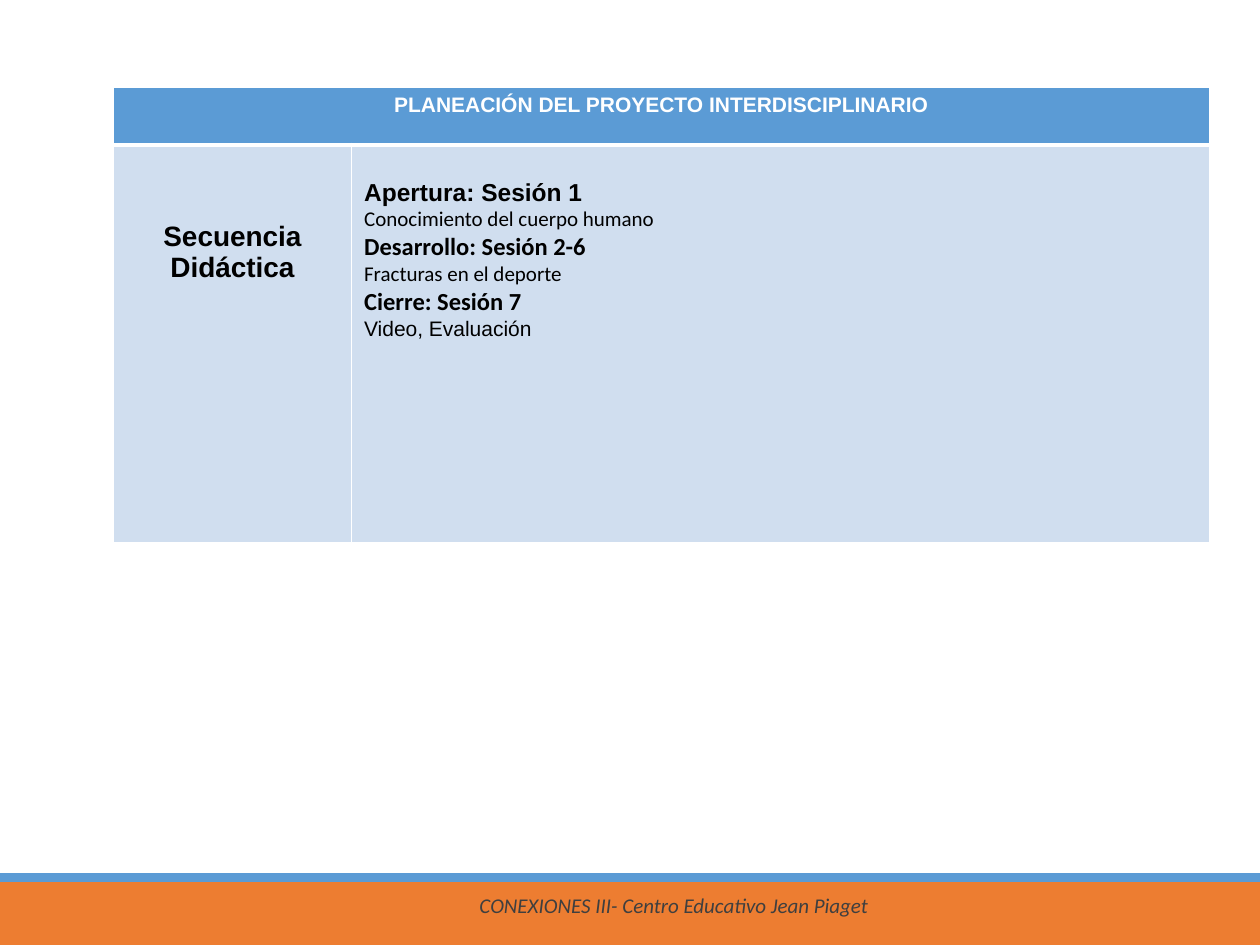
from dataclasses import dataclass

from lxml import etree
from pptx import Presentation
from pptx.dml.color import RGBColor
from pptx.enum.shapes import MSO_SHAPE
from pptx.enum.text import MSO_ANCHOR, PP_ALIGN
from pptx.oxml.ns import qn
from pptx.util import Emu, Inches, Pt

RECT = MSO_SHAPE.RECTANGLE
BOTTOM = MSO_ANCHOR.BOTTOM
LEFT, CENTER = PP_ALIGN.LEFT, PP_ALIGN.CENTER

WHITE = RGBColor(0xFF, 0xFF, 0xFF)
BLACK = RGBColor(0, 0, 0)
GRAY = RGBColor(0x3F, 0x3F, 0x3F)
BLUE = RGBColor(0x5B, 0x9B, 0xD5)
PALE = RGBColor(0xD0, 0xDE, 0xEF)
ORANGE = RGBColor(0xED, 0x7D, 0x31)

WIDTH, HEIGHT = Inches(10), Inches(7.5)


@dataclass
class Box:
    """A frame in percent of the slide's width and height."""
    left: float
    top: float
    width: float
    height: float

    def frame(self) -> tuple:
        return (across(self.left), down(self.top),
                across(self.width), down(self.height))


@dataclass
class Line:
    text: str
    size: int = 12
    font: str = "Arial"
    bold: bool = False


def across(share: float) -> Emu:
    return Emu(round(WIDTH * share / 100))


def down(share: float) -> Emu:
    return Emu(round(HEIGHT * share / 100))


def write(par, text: str, *, size: int = 12, font: str = "Arial",
          color: RGBColor = BLACK, bold: bool = False,
          italic: bool = False, align=LEFT) -> None:
    par.alignment = align
    run = par.add_run()
    run.text = text
    run.font.size, run.font.name = Pt(size), font
    run.font.bold, run.font.italic = bold, italic
    run.font.color.rgb = color


def band(slide, box: Box, color: RGBColor) -> None:
    shape = slide.shapes.add_shape(RECT, *box.frame())
    shape.shadow.inherit = False
    shape.fill.solid()
    shape.fill.fore_color.rgb = color
    shape.line.fill.background()


def edge(cell, **widths: float) -> None:
    """Draw white borders; the schema wants them ahead of the fill."""
    props = cell._tc.get_or_add_tcPr()
    for place, side in enumerate("LRTB"):
        line = etree.Element(qn(f"a:ln{side}"), w=str(Pt(widths.get(side, 1))))
        fill = etree.SubElement(line, qn("a:solidFill"))
        etree.SubElement(fill, qn("a:srgbClr"), val=str(WHITE))
        props.insert(place, line)


def paint(cell, color: RGBColor, **widths: float) -> None:
    cell.fill.solid()
    cell.fill.fore_color.rgb = color
    edge(cell, **widths)


def fill_cell(cell, lines: list[Line], drop: float = 0.05, **style) -> None:
    cell.margin_top = Inches(drop)
    frame = cell.text_frame
    for place, line in enumerate(lines):
        par = frame.add_paragraph() if place else frame.paragraphs[0]
        write(par, line.text, size=line.size, font=line.font,
              bold=line.bold, **style)


def plan(slide) -> None:
    box = Box(9, 9.2, 87, 48.27)
    table = slide.shapes.add_table(2, 2, *box.frame()).table
    for col, share in zip(table.columns, (18.9, 68.1)):
        col.width = across(share)
    for row, share in zip(table.rows, (6.13, 42.14)):
        row.height = down(share)

    # Heading across both columns
    head = table.cell(0, 0)
    head.merge(table.cell(0, 1))
    for col in range(2):
        paint(table.cell(0, col), BLUE, B=3)
        paint(table.cell(1, col), PALE, T=3)
    fill_cell(head, [Line("PLANEACIÓN DEL PROYECTO INTERDISCIPLINARIO", bold=True)],
              color=WHITE, align=CENTER)

    # Label and stages
    fill_cell(table.cell(1, 0), [Line("Secuencia Didáctica", 16, bold=True)],
              drop=0.61, align=CENTER)
    fill_cell(table.cell(1, 1), [
        Line("Apertura: Sesión 1", 14, bold=True),
        Line("Conocimiento del cuerpo humano", font="Calibri"),
        Line("Desarrollo: Sesión 2-6", 14, "Calibri", True),
        Line("Fracturas en el deporte", font="Calibri"),
        Line("Cierre: Sesión 7", 14, "Calibri", True),
        Line("Video, Evaluación"),
    ], drop=0.27)


def footer(slide) -> None:
    band(slide, Box(0, 93.33, 100, 6.67), ORANGE)
    band(slide, Box(0, 92.4, 100, 0.93), BLUE)
    box = Box(30.3, 91.87, 46.4, 5.87)
    frame = slide.shapes.add_textbox(*box.frame()).text_frame
    frame.word_wrap = True
    frame.vertical_anchor = BOTTOM
    par = frame.paragraphs[0]
    par.line_spacing = 0.85
    write(par, "CONEXIONES III- Centro Educativo Jean Piaget",
          font="Calibri", color=GRAY, italic=True, align=CENTER)


def main() -> None:
    deck = Presentation()
    deck.slide_width, deck.slide_height = WIDTH, HEIGHT
    slide = deck.slides.add_slide(deck.slide_layouts[6])
    plan(slide)
    footer(slide)
    deck.save("out.pptx")


if __name__ == "__main__":
    main()
